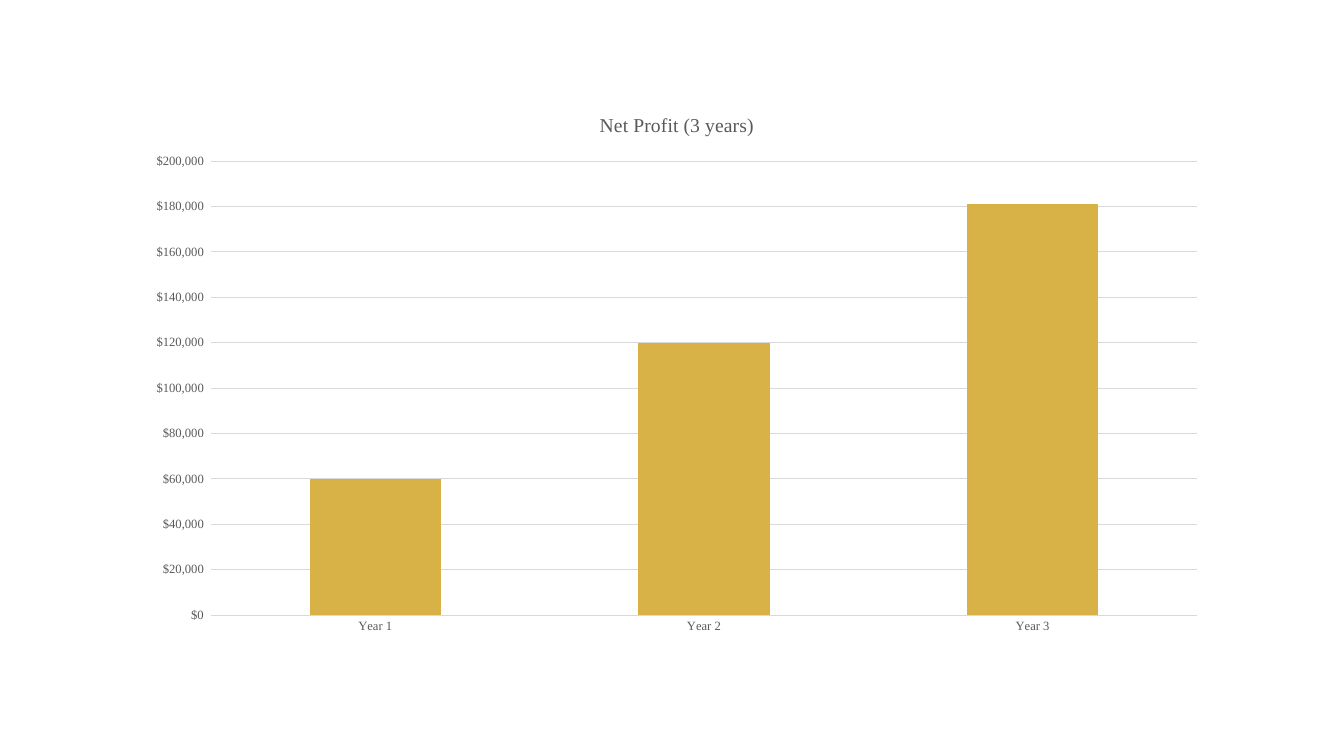
import pptx
import pptx.chart.data
import pptx.dml.color
import pptx.enum.chart
import pptx.oxml
import pptx.oxml.ns
import pptx.util

Pt = pptx.util.Pt
RGBColor = pptx.dml.color.RGBColor

TITLE = "Net Profit (3 years)"
NET_PROFIT = {"Year 1": 60000, "Year 2": 120000, "Year 3": 181000}
DOLLARS = '"$"#,##0_);[Red]\\("$"#,##0\\)'
FONT = "Times New Roman"
GOLD = RGBColor(0xD9, 0xB2, 0x47)
GREY_TEXT = RGBColor(0x59, 0x59, 0x59)
GREY_LINE = RGBColor(0xD9, 0xD9, 0xD9)
WHITE = RGBColor(0xFF, 0xFF, 0xFF)
CHART_BOX = (96.5, 66.2, 774, 394.6)
PLOT_SHARES = {"x": 0.07, "y": 0.124, "w": 0.91, "h": 0.822}


def style_font(font, size):
    font.name = FONT
    font.size = Pt(size)
    font.bold = False
    font.color.rgb = GREY_TEXT


def style_line(line):
    line.color.rgb = GREY_LINE
    line.width = Pt(0.75)


def place_plot(chart, shares):
    """Fix the inner plot area as shares of the chart's width and height."""
    modes = '<c:layoutTarget val="inner"/><c:xMode val="edge"/><c:yMode val="edge"/>'
    sizes = "".join(f'<c:{key} val="{share}"/>' for key, share in shares.items())
    layout = pptx.oxml.parse_xml(
        f'<c:layout {pptx.oxml.ns.nsdecls("c")}>'
        f"<c:manualLayout>{modes}{sizes}</c:manualLayout></c:layout>"
    )
    plot_area = chart.plots[0]._element.getparent()
    for old_layout in plot_area.findall(pptx.oxml.ns.qn("c:layout")):
        plot_area.remove(old_layout)
    plot_area.insert(0, layout)


def add_profit_chart(page):
    chart_data = pptx.chart.data.CategoryChartData(number_format=DOLLARS)
    chart_data.categories = list(NET_PROFIT)
    chart_data.add_series("Series 1", list(NET_PROFIT.values()))
    chart = page.shapes.add_chart(
        pptx.enum.chart.XL_CHART_TYPE.COLUMN_STACKED,
        *map(Pt, CHART_BOX), chart_data,
    ).chart
    chart.font.name = FONT
    chart.font.size = Pt(10)
    chart.has_legend = False

    chart.has_title = True
    chart.chart_title.include_in_layout = False
    title = chart.chart_title.text_frame
    title.text = TITLE
    style_font(title.paragraphs[0].runs[0].font, 14)

    plot = chart.plots[0]
    plot.gap_width = 150
    plot.overlap = 100
    plot.vary_by_categories = False
    columns = plot.series[0].format.fill
    columns.solid()
    columns.fore_color.rgb = GOLD

    years, dollars = chart.category_axis, chart.value_axis
    for axis in (years, dollars):
        axis.major_tick_mark = pptx.enum.chart.XL_TICK_MARK.NONE
        axis.minor_tick_mark = pptx.enum.chart.XL_TICK_MARK.NONE
        style_font(axis.tick_labels.font, 9)
    style_line(years.format.line)
    dollars.format.line.fill.background()
    dollars.has_major_gridlines = True
    style_line(dollars.major_gridlines.format.line)
    dollars.minimum_scale = 0
    dollars.maximum_scale = 200000
    dollars.major_unit = 20000
    dollars.tick_labels.number_format = DOLLARS
    dollars.tick_labels.number_format_is_linked = False
    place_plot(chart, PLOT_SHARES)


def main():
    deck = pptx.Presentation()
    deck.slide_width = Pt(960)
    deck.slide_height = Pt(540)
    page = deck.slides.add_slide(deck.slide_layouts[6])
    page.background.fill.solid()
    page.background.fill.fore_color.rgb = WHITE
    add_profit_chart(page)
    deck.save("out.pptx")


if __name__ == "__main__":
    main()
